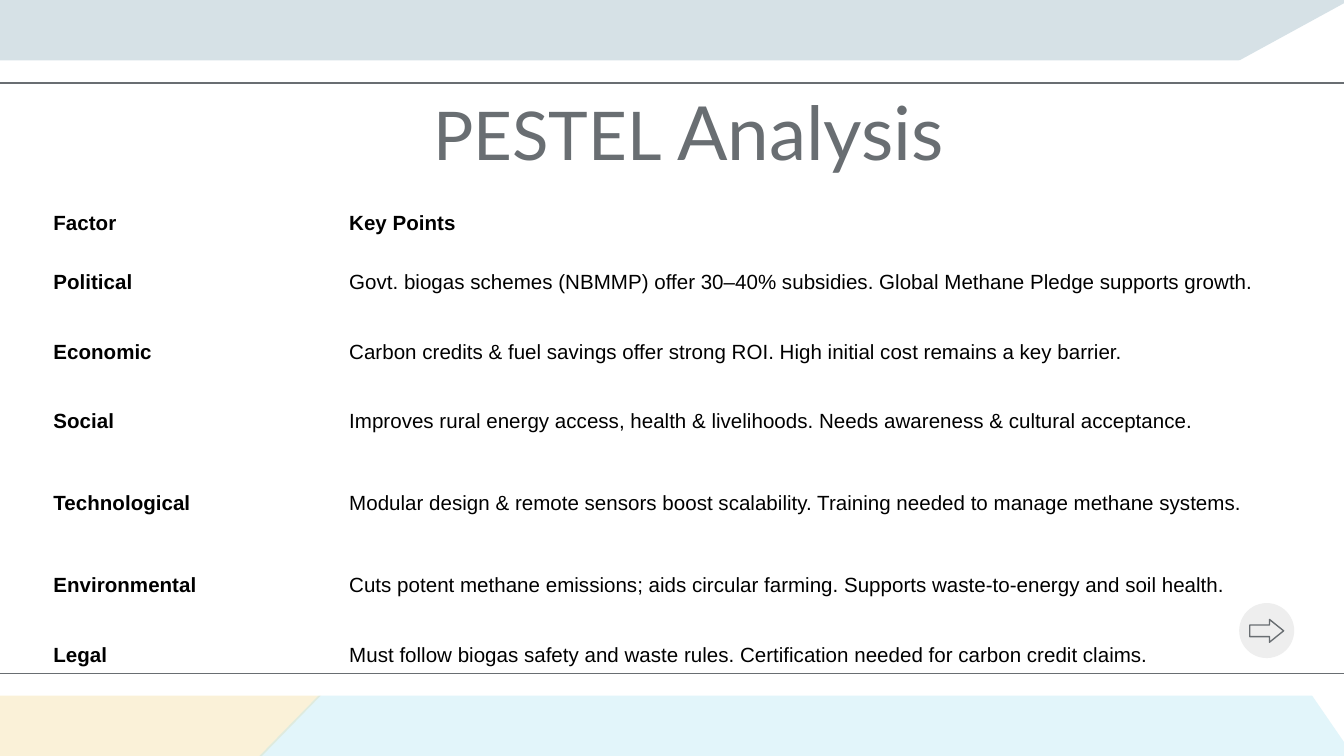
from lxml import etree
from pptx import Presentation
from pptx import util as u
from pptx.dml.color import RGBColor
from pptx.enum import shapes, text
from pptx.oxml.ns import qn

Cm, Pt = u.Cm, u.Pt
GREY = "696E72"


def rgb(code):
    return RGBColor.from_string(code)


def paint(shape, fill=None, alpha=None, line=None):
    shape.shadow.inherit = False
    if fill:
        shape.fill.solid()
        shape.fill.fore_color.rgb = rgb(fill)
    else:
        shape.fill.background()
    if alpha:
        tone = shape.fill._xPr.find(qn("a:solidFill"))[0]
        etree.SubElement(tone, qn("a:alpha")).set("val", str(alpha * 1000))
    if line:
        shape.line.color.rgb = rgb(line)
        shape.line.width = Pt(0.75)
    else:
        shape.line.fill.background()


deck = Presentation()
deck.slide_width, deck.slide_height = Cm(25.4), Cm(14.29)
slide = deck.slides.add_slide(deck.slide_layouts[6])
items = slide.shapes

# Tinted corners behind the white panel
tints = [
    ("F7E5B7", 53, [(-0.2, 14.6), (-0.2, 4.55), (11.3, 7.77), (4.65, 14.6)]),
    ("96B3C1", 39, [(-0.2, 4.55), (-0.2, -0.2), (25.88, -0.2), (11.3, 7.77)]),
    ("9EDDEF", 29, [(4.65, 14.55), (25.76, 14.55), (18.42, 3.86), (11.33, 7.72)]),
]
for fill, alpha, spots in tints:
    spots = [(Cm(x), Cm(y)) for x, y in spots]
    pen = items.build_freeform(*spots[0])
    pen.add_line_segments(spots[1:])
    paint(pen.convert_to_shape(), fill, alpha)

# White panel with a rule near each edge
panel = items.add_shape(shapes.MSO_SHAPE.RECTANGLE,
                        Cm(-0.08), Cm(1.14), Cm(25.53), Cm(12.01))
paint(panel, "FFFFFF")
for y in (1.57, 12.73):
    rule = items.add_connector(shapes.MSO_CONNECTOR.STRAIGHT,
                               Cm(-0.3), Cm(y), Cm(25.5), Cm(y))
    rule.line.color.rgb = rgb(GREY)
    rule.line.width = Pt(0.75)
    etree.SubElement(rule._element.spPr, qn("a:effectLst"))

# Title
title = items.add_textbox(Cm(1.57), Cm(1.37), Cm(22.89), Cm(1.57))
frame = title.text_frame
frame.word_wrap = True
frame.vertical_anchor = text.MSO_ANCHOR.TOP
frame.margin_left = frame.margin_right = Cm(0.25)
frame.margin_top = frame.margin_bottom = Cm(0.25)
para = frame.paragraphs[0]
para.alignment = text.PP_ALIGN.CENTER
para.font.name = "Lato"
para.font.color.rgb = rgb(GREY)
for words, size in (("PESTEL ", 36), ("Analysis", 40)):
    run = para.add_run()
    run.text = words
    run.font.size = Pt(size)

# Next button
disc = items.add_shape(shapes.MSO_SHAPE.OVAL,
                       Cm(23.42), Cm(11.4), Cm(1.04), Cm(1.04))
paint(disc, "EEEEEE")
arrow = items.add_shape(shapes.MSO_SHAPE.RIGHT_ARROW,
                        Cm(23.62), Cm(11.71), Cm(0.64), Cm(0.43))
arrow.adjustments[0], arrow.adjustments[1] = 0.51, 0.62
paint(arrow, line=GREY)

# Factor table: row height in cm, factor, key points
rows = [
    (0.64, "Factor", "Key Points"),
    (1.55, "Political", "Govt. biogas schemes (NBMMP) offer 30–40% subsidies. "
                        "Global Methane Pledge supports growth."),
    (1.09, "Economic", "Carbon credits & fuel savings offer strong ROI. "
                       "High initial cost remains a key barrier."),
    (1.55, "Social", "Improves rural energy access, health & livelihoods. "
                     "Needs awareness & cultural acceptance."),
    (1.55, "Technological", "Modular design & remote sensors boost scalability. "
                            "Training needed to manage methane systems."),
    (1.55, "Environmental", "Cuts potent methane emissions; aids circular farming. "
                            "Supports waste-to-energy and soil health."),
    (1.09, "Legal", "Must follow biogas safety and waste rules. "
                    "Certification needed for carbon credit claims."),
]
grid = items.add_table(len(rows), 2, Cm(0.81), Cm(3.89), Cm(23.75), Cm(9.02)).table
grid.first_row = grid.horz_banding = False
# Plain style without grid lines
grid._tbl.tblPr.find(qn("a:tableStyleId")).text = "{2D5ABB26-0587-4C30-8999-92F81FD0307C}"
grid.columns[0].width, grid.columns[1].width = Cm(5.59), Cm(18.16)
for r, (tall, *words) in enumerate(rows):
    grid.rows[r].height = Cm(tall)
    for c, word in enumerate(words):
        cell = grid.cell(r, c)
        cell.fill.background()
        cell.vertical_anchor = text.MSO_ANCHOR.MIDDLE
        cell.margin_left = cell.margin_right = Cm(0.2)
        cell.margin_top = cell.margin_bottom = Cm(0.1)
        cell.text = word
        font = cell.text_frame.paragraphs[0].font
        font.name, font.size = "Arial", Pt(11)
        font.bold = r == 0 or c == 0
        font.color.rgb = rgb("000000")

deck.save("out.pptx")
